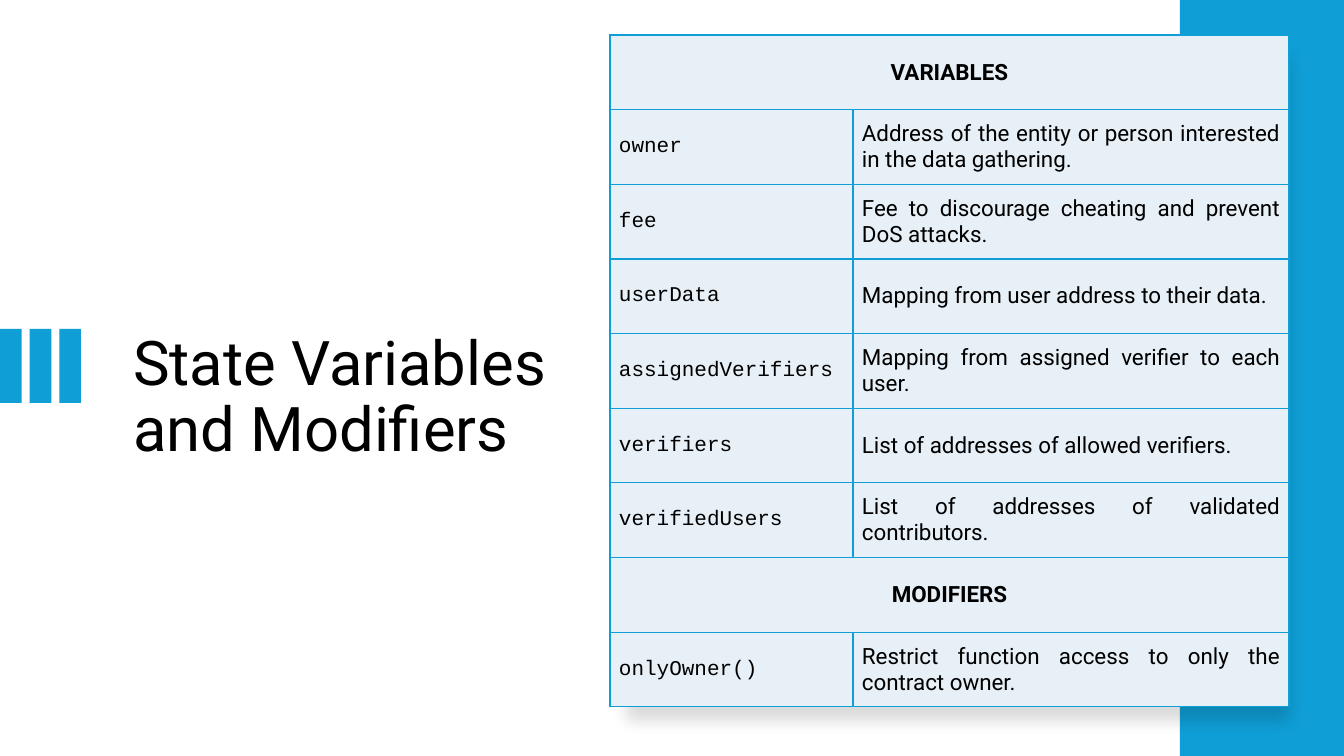
from lxml import etree
from pptx import Presentation
from pptx.dml.color import RGBColor
from pptx.enum.shapes import MSO_SHAPE
from pptx.enum.text import MSO_ANCHOR, MSO_AUTO_SIZE, PP_ALIGN
from pptx.oxml import parse_xml
from pptx.util import Pt

RECT = MSO_SHAPE.RECTANGLE
TOP, MIDDLE = MSO_ANCHOR.TOP, MSO_ANCHOR.MIDDLE
LEFT, CENTER, JUSTIFY = PP_ALIGN.LEFT, PP_ALIGN.CENTER, PP_ALIGN.JUSTIFY
NO_FIT = MSO_AUTO_SIZE.NONE

WIDE, HIGH = 1344, 756
SCALE = 12192000 / WIDE
NS = "http://schemas.openxmlformats.org/drawingml/2006/main"
COLORS = {"blue": "0F9ED5", "pale": "E7F0F7", "white": "FFFFFF", "black": "000000"}

HEAD = {"name": "Roboto", "size": Pt(16), "bold": True}
BODY = {"name": "Roboto", "size": Pt(16), "bold": False}
CODE = {"name": "Courier New", "size": Pt(15), "bold": False}
TITLE = {"name": "Roboto", "size": Pt(44), "bold": False}
FRAME = {"word_wrap": True, "auto_size": NO_FIT, "vertical_anchor": TOP}
INSET = {"margin_left": 9, "margin_right": 9, "margin_top": 5, "margin_bottom": 5}

ROWS = [
    ("VARIABLES",),
    ("owner", "Address of the entity or person interested in the data gathering."),
    ("fee", "Fee to discourage cheating and prevent DoS attacks."),
    ("userData", "Mapping from user address to their data."),
    ("assignedVerifiers", "Mapping from assigned verifier to each user."),
    ("verifiers", "List of addresses of allowed verifiers."),
    ("verifiedUsers", "List of addresses of validated contributors."),
    ("MODIFIERS",),
    ("onlyOwner()", "Restrict function access to only the contract owner."),
]


def px(length):
    """Turn px into EMU."""
    return round(length * SCALE)


def apply(target, values):
    """Set each attribute in values on the target."""
    for name, value in values.items():
        setattr(target, name, value)


def paint(fill, color):
    """Give a fill one solid colour."""
    fill.solid()
    fill.fore_color.rgb = RGBColor.from_string(COLORS[color])


def write(frame, text, font, align):
    """Write one formatted paragraph and return it."""
    para = frame.paragraphs[0]
    para.alignment = align
    run = para.add_run()
    run.text = text
    apply(run.font, font)
    run.font.color.rgb = RGBColor.from_string(COLORS["black"])
    return para


def add_rect(shapes, box, color):
    """Add a plain rectangle and return it."""
    rect = shapes.add_shape(RECT, *map(px, box))
    rect.shadow.inherit = False
    paint(rect.fill, color)
    rect.line.fill.background()
    return rect


def add_title(slide, box):
    """Place the slide title in its box."""
    title = slide.shapes.title
    apply(title, dict(zip(("left", "top", "width", "height"), map(px, box))))
    apply(title.text_frame, FRAME)
    para = write(title.text_frame, "State Variables and Modifiers", TITLE, LEFT)
    para.line_spacing = 0.9


def add_bars(slide, box, count=3, gap=8):
    """Fill the box with evenly spaced upright bars."""
    left, top, width, height = box
    bar = (width - gap * (count - 1)) / count
    group = slide.shapes.add_group_shape()
    for i in range(count):
        add_rect(group.shapes, (left + i * (bar + gap), top, bar, height), "blue")


def add_card(slide, box):
    """Add a white card with a soft shadow below it."""
    card = add_rect(slide.shapes, box, "white")
    effects = card._element.spPr.find(f"{{{NS}}}effectLst")
    effects.append(parse_xml(
        f'<a:outerShdw xmlns:a="{NS}" blurRad="{Pt(11)}" dist="{Pt(10)}" '
        f'dir="5400000" algn="t" rotWithShape="0"><a:srgbClr val="{COLORS["black"]}">'
        '<a:alpha val="15000"/></a:srgbClr></a:outerShdw>'))


def add_edges(cell):
    """Draw a thin blue line on all four sides of a cell."""
    props = cell._tc.get_or_add_tcPr()
    for i, side in enumerate("LRTB"):
        line = etree.Element(f"{{{NS}}}ln{side}", w=str(Pt(1)))
        fill = etree.SubElement(line, f"{{{NS}}}solidFill")
        etree.SubElement(fill, f"{{{NS}}}srgbClr", val=COLORS["blue"])
        props.insert(i, line)


def add_table(slide, box, split=243):
    """Add the table of variables and modifiers, with merged headings."""
    width, height = box[2:]
    table = slide.shapes.add_table(len(ROWS), 2, *map(px, box)).table
    apply(table, {"first_row": False, "horz_banding": False})
    for column, size in zip(table.columns, (split, width - split)):
        column.width = px(size)
    for r, texts in enumerate(ROWS):
        table.rows[r].height = px(height / len(ROWS))
        cells = [table.cell(r, c) for c in range(2)]
        for cell in cells:
            paint(cell.fill, "pale")
            add_edges(cell)
            apply(cell, {name: px(size) for name, size in INSET.items()})
            cell.vertical_anchor = MIDDLE
        if len(texts) == 1:
            cells[0].merge(cells[1])
            write(cells[0].text_frame, texts[0], HEAD, CENTER)
        else:
            for cell, text, font in zip(cells, texts, (CODE, BODY)):
                write(cell.text_frame, text, font, JUSTIFY)


def main():
    """Build and save the slide."""
    deck = Presentation()
    apply(deck, {"slide_width": px(WIDE), "slide_height": px(HIGH)})
    slide = deck.slides.add_slide(deck.slide_layouts[5])
    paint(slide.background.fill, "white")
    add_title(slide, (123, 327, 445, 263))
    add_bars(slide, (0, 329, 81, 74))
    add_rect(slide.shapes, (1180, 0, 164, HIGH), "blue")
    add_card(slide, (627, 43, 662, 663))
    add_table(slide, (610, 35, 679, 672))
    deck.save("out.pptx")


if __name__ == "__main__":
    main()
